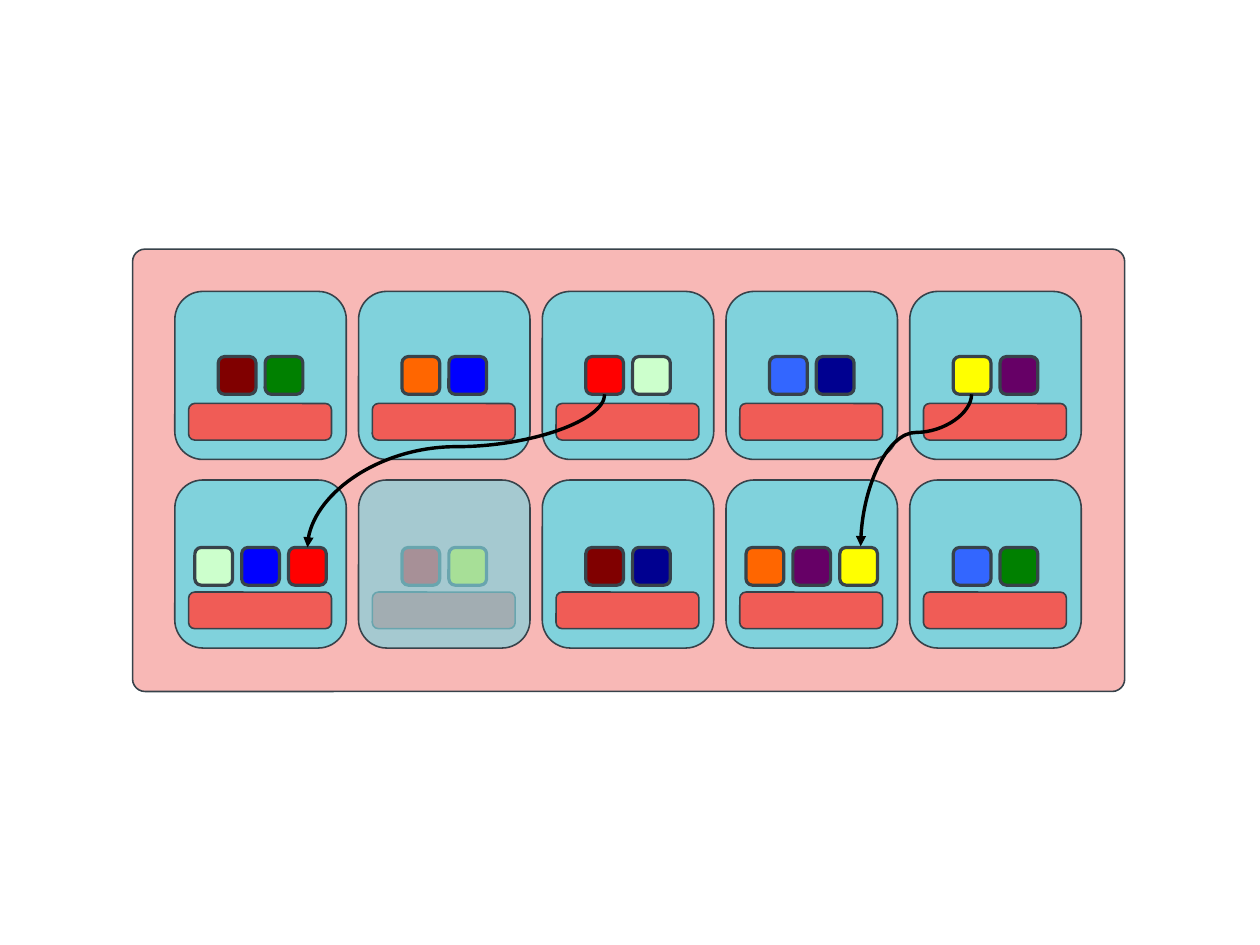
"""Build a slide of ten storage nodes whose blocks are copied after one node fails."""
from lxml.etree import SubElement
from pptx import Presentation
from pptx.dml.color import RGBColor
from pptx.enum.shapes import MSO_CONNECTOR as Connector, MSO_SHAPE as Shape
from pptx.oxml.ns import qn
from pptx.util import Inches, Pt

SALMON = RGBColor(0xF0, 0x5C, 0x56)
TEAL = RGBColor(0x80, 0xD2, 0xDC)
SLATE = RGBColor(0x37, 0x42, 0x4A)
BLACK = RGBColor(0x00, 0x00, 0x00)
MAROON = RGBColor(0x80, 0x00, 0x00)
RED = RGBColor(0xFF, 0x00, 0x00)
ORANGE = RGBColor(0xFF, 0x66, 0x00)
YELLOW = RGBColor(0xFF, 0xFF, 0x00)
MINT = RGBColor(0xCC, 0xFF, 0xCC)
GREEN = RGBColor(0x00, 0x80, 0x00)
SKY = RGBColor(0x33, 0x66, 0xFF)
BLUE = RGBColor(0x00, 0x00, 0xFF)
NAVY = RGBColor(0x00, 0x00, 0x90)
PURPLE = RGBColor(0x66, 0x00, 0x66)

CM_PER_INCH = 2.54
NODE_LEFT, NODE_SPAN = 1.53, 6.43
NODE_WIDTH, NODE_HEIGHT = 1.5, 1.47
BLOCK_SIZE, BLOCK_PITCH = 0.33, 0.41
FAILED_NODE = (1, 1)
ROWS = [
    (2.55, 3.12, [[MAROON, GREEN], [ORANGE, BLUE], [RED, MINT], [SKY, NAVY], [YELLOW, PURPLE]]),
    (4.2, 4.79, [[MINT, BLUE, RED], [RED, YELLOW], [MAROON, NAVY],
                 [ORANGE, PURPLE, YELLOW], [SKY, GREEN]]),
]
COPIES = [(8.5, 3.45, 7.53, 4.78, 0.251), (5.29, 3.45, 2.69, 4.79, 0.342)]

deck = Presentation()
deck.slide_width, deck.slide_height = Inches(28 / CM_PER_INCH), Inches(21 / CM_PER_INCH)
page = deck.slides.add_slide(deck.slide_layouts[6])


def add_rounded(left, top, width, height, color, corner=0.167, weight=1, opacity=100):
    box = page.shapes.add_shape(
        Shape.ROUNDED_RECTANGLE, Inches(left), Inches(top), Inches(width), Inches(height))
    box.adjustments[0] = corner
    box.shadow.inherit = False
    box.fill.solid()
    box.fill.fore_color.rgb = color
    box.line.color.rgb = SLATE
    box.line.width = Pt(weight)
    if opacity < 100:
        tint = box.fill._xPr.find(qn("a:solidFill"))[0]
        SubElement(tint, qn("a:alpha"), val=str(opacity * 1000))


add_rounded(1.16, 2.18, 8.68, 3.87, SALMON, corner=0.028, opacity=43)

for row, (node_top, block_top, nodes) in enumerate(ROWS):
    node_pitch = NODE_SPAN / (len(nodes) - 1)
    for column, colors in enumerate(nodes):
        node_left = NODE_LEFT + column * node_pitch
        node = (node_left, node_top, NODE_WIDTH, NODE_HEIGHT, TEAL)
        failed = (row, column) == FAILED_NODE
        if not failed:
            add_rounded(*node)
        add_rounded(node_left + 0.12, node_top + 0.98, 1.25, 0.32, SALMON)
        blocks_width = (len(colors) - 1) * BLOCK_PITCH + BLOCK_SIZE
        first_left = node_left + (NODE_WIDTH - blocks_width) / 2
        for index, color in enumerate(colors):
            add_rounded(first_left + index * BLOCK_PITCH, block_top,
                        BLOCK_SIZE, BLOCK_SIZE, color, weight=2)
        if failed:
            add_rounded(*node, opacity=69)

for start_x, start_y, end_x, end_y, bend in COPIES:
    center_x, center_y = (start_x + end_x) / 2, (start_y + end_y) / 2
    half_length, half_drop = (end_y - start_y) / 2, (start_x - end_x) / 2
    arrow = page.shapes.add_connector(
        Connector.CURVE,
        Inches(center_x - half_length), Inches(center_y - half_drop),
        Inches(center_x + half_length), Inches(center_y + half_drop))
    arrow.line.color.rgb = BLACK
    arrow.line.width = Pt(2.15)
    properties = arrow._element.spPr
    properties.find(qn("a:xfrm")).set("rot", "5400000")
    guides = properties.find(qn("a:prstGeom")).find(qn("a:avLst"))
    SubElement(guides, qn("a:gd"), name="adj1", fmla=f"val {round(bend * 100000)}")
    SubElement(properties.find(qn("a:ln")), qn("a:tailEnd"), type="triangle")
    SubElement(properties, qn("a:effectLst"))

deck.save("out.pptx")
